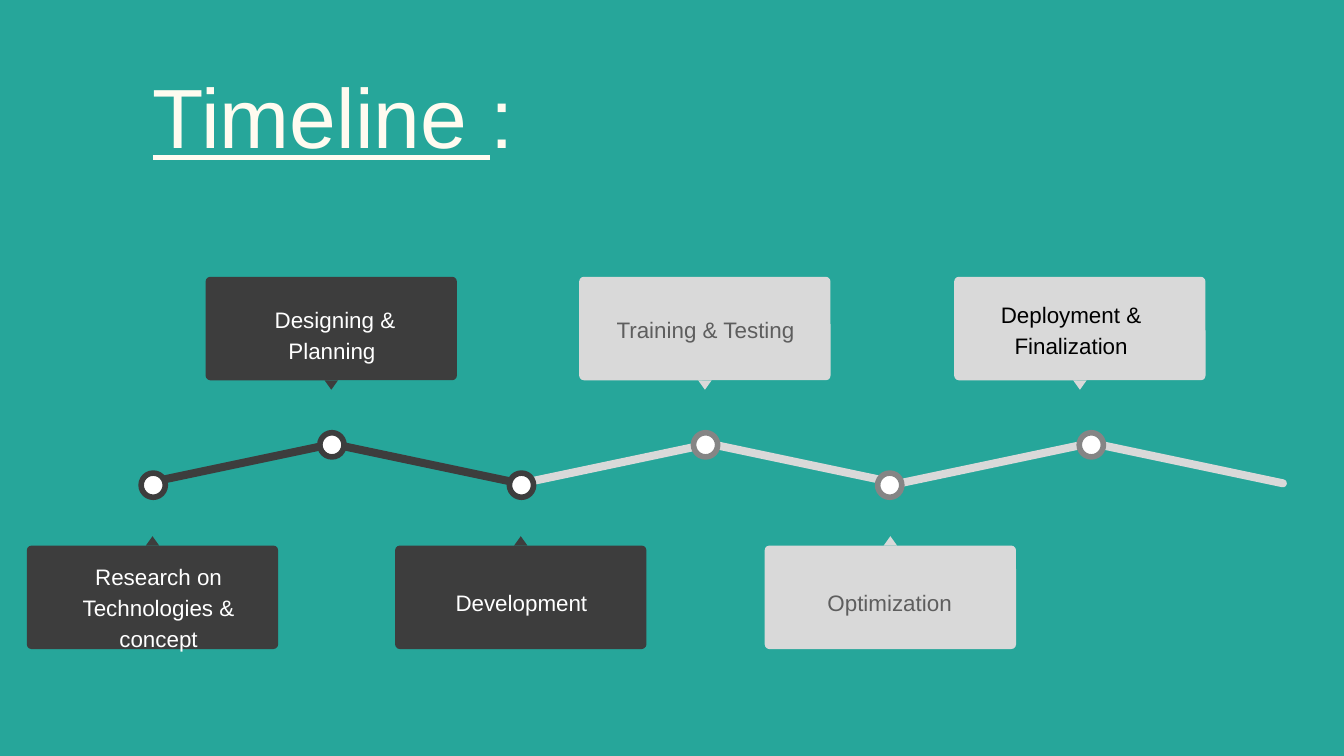
from dataclasses import dataclass

from pptx import Presentation
from pptx.dml.color import RGBColor
from pptx.enum.shapes import MSO_SHAPE as Shape
from pptx.enum.text import PP_ALIGN as Align
from pptx.util import Inches, Pt

COLORS = {
    "background": "26A69A",
    "title": "FFFBF0",
    "done": "3D3D3D",
    "pending": "D9D9D9",
    "pending_ring": "858585",
    "pending_text": "5E5E5E",
    "white": "FFFFFF",
    "black": "000000",
}
CARD_W, CARD_H = 1.87, 0.77
POINTER_W, POINTER_H = 0.1, 0.07
DOT = 0.18
BAR_W, BAR_H, BAR_TILT = 1.48, 0.06, 11.9


@dataclass
class Milestone:
    """One step of the timeline; label_dx and label_dy are relative to its card."""
    label: str
    card_left: float
    dot_left: float
    bar_left: float
    label_dx: float
    label_dy: float
    label_w: float = 1.78
    done: bool = False
    ink: str = "pending_text"


MILESTONES = [
    Milestone("Research on Technologies & concept", 0.2, 1.05, 1.04, 0.09, 0, done=True, ink="white"),
    Milestone(" Designing & Planning", 1.53, 2.38, 2.43, 0.05, 0.09, done=True, ink="white"),
    Milestone("Development", 2.94, 3.79, 3.84, 0.05, 0.19, done=True, ink="white"),
    Milestone("Training & Testing", 4.31, 5.16, 5.24, 0.05, 0.16),
    Milestone("Optimization", 5.69, 6.53, 6.65, 0.04, 0.19),
    Milestone("Deployment & Finalization", 7.1, 8.03, 8.11, 0, 0.05, 1.74, ink="black"),
]


def rgb(name):
    """Return the named colour."""
    return RGBColor.from_string(COLORS[name])


def add_solid(slide, kind, left, top, width, height, fill, rotation=0):
    """Add a plain filled shape without outline or shadow."""
    solid = slide.shapes.add_shape(kind, Inches(left), Inches(top), Inches(width), Inches(height))
    solid.shadow.inherit = False
    solid.fill.solid()
    solid.fill.fore_color.rgb = rgb(fill)
    solid.line.fill.background()
    solid.rotation = rotation
    return solid


def style_run(run, size, ink):
    """Set the font, size and colour of a run."""
    run.font.name = "Arial"
    run.font.size = Pt(size)
    run.font.color.rgb = rgb(ink)


def add_label(slide, text, left, top, width, height, size, ink):
    """Add a wrapped text box and return its paragraph."""
    box = slide.shapes.add_textbox(Inches(left), Inches(top), Inches(width), Inches(height))
    frame = box.text_frame
    frame.word_wrap = True
    frame.margin_left = frame.margin_right = Inches(0.1)
    frame.margin_top = frame.margin_bottom = Inches(0.1)
    paragraph = frame.paragraphs[0]
    paragraph.text = text
    style_run(paragraph.runs[0], size, ink)
    return paragraph


def add_title(slide, left, top, width, height):
    """Add the heading, underlined up to its colon."""
    heading = add_label(slide, "Timeline ", left, top, width, height, 45, "title")
    heading.runs[0].font.underline = True
    colon = heading.add_run()
    colon.text = ":"
    style_run(colon, 45, "title")


def add_zigzag(slide, top):
    """Add the bars of the timeline, rising and falling in turn."""
    for index, step in enumerate(MILESTONES):
        tone = "done" if index < 2 else "pending"
        tilt = BAR_TILT if index % 2 else 360 - BAR_TILT
        bar = add_solid(slide, Shape.ROUNDED_RECTANGLE, step.bar_left, top, BAR_W, BAR_H, tone, tilt)
        bar.adjustments[0] = 0.5


def add_milestone(slide, step, card_top, dot_top, above):
    """Add a card with its pointer, label and dot on the zigzag."""
    tone = "done" if step.done else "pending"
    card = add_solid(slide, Shape.ROUNDED_RECTANGLE, step.card_left, card_top, CARD_W, CARD_H, tone)
    card.adjustments[0] = 0.045
    pointer_left = step.card_left + (CARD_W - POINTER_W) / 2
    pointer_top = card_top + CARD_H if above else card_top - POINTER_H
    add_solid(slide, Shape.ISOSCELES_TRIANGLE, pointer_left, pointer_top,
              POINTER_W, POINTER_H, tone, 180 if above else 0)

    label = add_label(slide, step.label, step.card_left + step.label_dx,
                      card_top + step.label_dy, step.label_w, 0.68, 12, step.ink)
    label.alignment = Align.CENTER
    label.line_spacing = 1.15
    label.space_after = Pt(16)

    dot = add_solid(slide, Shape.OVAL, step.dot_left, dot_top, DOT, DOT, "white")
    dot.line.color.rgb = rgb("done" if step.done else "pending_ring")
    dot.line.width = Pt(3)


def main():
    """Build the timeline slide."""
    deck = Presentation()
    deck.slide_width = Inches(10)
    deck.slide_height = deck.slide_width * 9 // 16
    slide = deck.slides.add_slide(deck.slide_layouts[6])
    slide.background.fill.solid()
    slide.background.fill.fore_color.rgb = rgb("background")

    add_title(slide, 1.04, 0.38, 6.34, 0.89)
    add_zigzag(slide, 3.42)
    for index, step in enumerate(MILESTONES):
        above = index % 2 == 1
        card_top, dot_top = (2.06, 3.22) if above else (4.06, 3.52)
        add_milestone(slide, step, card_top, dot_top, above)
    deck.save("out.pptx")


if __name__ == "__main__":
    main()
